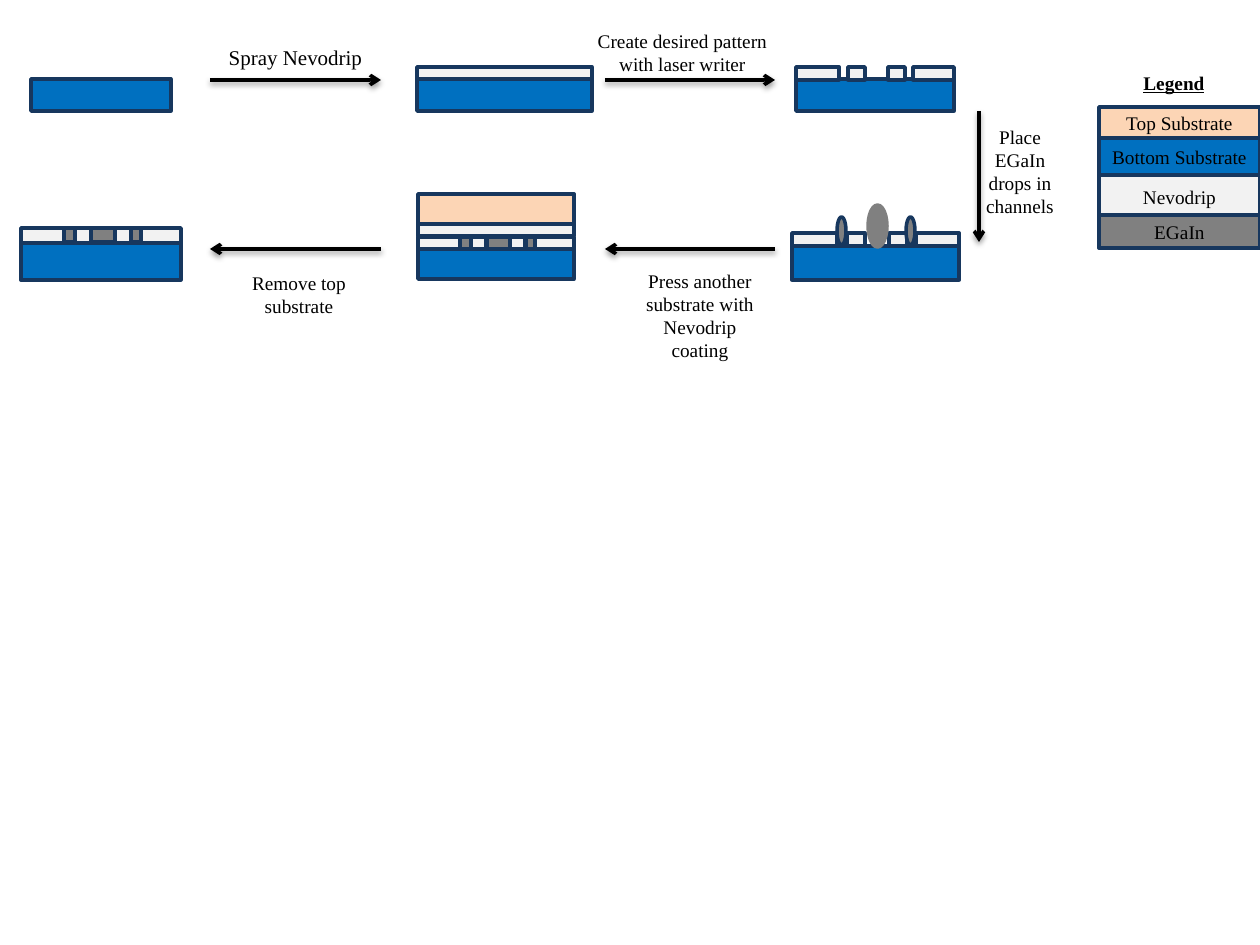
"""Builds a process slide for patterned liquid metal channels."""
from lxml import etree
from pptx import Presentation
from pptx.dml.color import RGBColor
from pptx.enum.shapes import MSO_CONNECTOR, MSO_SHAPE
from pptx.enum.text import MSO_ANCHOR, PP_ALIGN
from pptx.oxml.ns import qn
from pptx.util import Pt

RECT, OVAL = MSO_SHAPE.RECTANGLE, MSO_SHAPE.OVAL
LINE = MSO_CONNECTOR.STRAIGHT
CENTER, TOP, MIDDLE = PP_ALIGN.CENTER, MSO_ANCHOR.TOP, MSO_ANCHOR.MIDDLE
BLUE = RGBColor(0x00, 0x70, 0xC0)
NAVY = RGBColor(0x17, 0x37, 0x5E)
PALE = RGBColor(0xF2, 0xF2, 0xF2)
GRAY = RGBColor(0x80, 0x80, 0x80)
PEACH = RGBColor(0xFC, 0xD5, 0xB5)
BLACK = RGBColor(0x00, 0x00, 0x00)
FONT = "Times New Roman"
SCALE = 914400 / 126
PADS = ((0, 0.27), (0.33, 0.11), (0.58, 0.11), (0.74, 0.26))
GAPS = ((0.27, 0.07), (0.69, 0.06), (0.44, 0.15))


def px(*sizes):
    """Turn pixel lengths into EMU."""
    return [round(size * SCALE) for size in sizes]


def block(slide, box, fill, line=NAVY, kind=RECT):
    """Draw one outlined layer or drop."""
    shape = slide.shapes.add_shape(kind, *px(*box))
    shape.shadow.inherit = False
    shape.fill.solid()
    shape.fill.fore_color.rgb = fill
    shape.line.color.rgb = line
    shape.line.width = Pt(2)
    return shape


def layer(slide, box, parts, fill):
    """Split a layer into blocks placed by shares of its width."""
    left, top, width, height = box
    for start, share in parts:
        part = (left + round(start * width), top, round(share * width), height)
        block(slide, part, fill)


def write(shape, text, size=11, anchor=TOP, strong=False):
    """Put centred text into a shape."""
    frame = shape.text_frame
    frame.word_wrap = True
    frame.vertical_anchor = anchor
    frame.margin_left = frame.margin_right = px(10)[0]
    para = frame.paragraphs[0]
    para.alignment = CENTER
    run = para.add_run()
    run.text = text
    font = run.font
    font.name, font.size = FONT, Pt(size)
    font.color.rgb = BLACK
    if strong:
        font.bold = font.underline = True


def label(slide, box, text, size=11, strong=False):
    """Add a text box."""
    write(slide.shapes.add_textbox(*px(*box)), text, size, strong=strong)


def arrow(slide, ends):
    """Draw a black arrow with a soft shadow."""
    link = slide.shapes.add_connector(LINE, *px(*ends))
    link.line.color.rgb = BLACK
    link.line.width = Pt(2)
    etree.SubElement(link.line._get_or_add_ln(), qn("a:tailEnd"), type="arrow")
    effects = etree.SubElement(link._element.spPr, qn("a:effectLst"))
    shade = etree.SubElement(
        effects, qn("a:outerShdw"), blurRad="40000", dist="20000",
        dir="5400000", rotWithShape="0")
    color = etree.SubElement(shade, qn("a:srgbClr"), val="000000")
    etree.SubElement(color, qn("a:alpha"), val="38000")


def stages(slide):
    """Draw the six process stages."""
    for box in ((31, 79, 140, 32), (417, 79, 175, 32), (796, 79, 158, 32),
                (792, 246, 167, 34), (418, 249, 156, 30), (21, 243, 160, 37)):
        block(slide, box, BLUE)
    block(slide, (417, 67, 175, 12), PALE)
    for box in ((796, 67, 158, 13), (792, 233, 167, 13),
                (418, 237, 156, 12), (21, 228, 160, 15)):
        layer(slide, box, PADS, PALE)
    for box in ((418, 237, 156, 12), (21, 228, 160, 14)):
        layer(slide, box, GAPS, GRAY)
    block(slide, (868, 205, 19, 42), GRAY, GRAY, OVAL)
    for left in (837, 906):
        block(slide, (left, 217, 9, 28), GRAY, kind=OVAL)
    block(slide, (418, 194, 156, 30), PEACH)
    block(slide, (418, 224, 156, 12), PALE)


def steps(slide):
    """Draw the arrows and their captions."""
    for ends in ((210, 80, 381, 80), (605, 80, 775, 80), (381, 249, 210, 249),
                 (775, 249, 605, 249), (979, 111, 979, 242)):
        arrow(slide, ends)
    label(slide, (145, 38, 301, 32), "Spray Nevodrip", 12)
    for box, text in (
            ((575, 23, 215, 37), "Create desired pattern with laser writer"),
            ((974, 119, 92, 58), "Place EGaIn drops in channels"),
            ((625, 263, 150, 58),
             "Press another substrate with Nevodrip coating"),
            ((224, 265, 150, 58), "Remove top substrate")):
        label(slide, box, text)


def legend(slide):
    """Draw the legend."""
    for top, height, fill, text in (
            (107, 31, PEACH, "Top Substrate"),
            (138, 37, BLUE, "Bottom Substrate"),
            (175, 43, PALE, "Nevodrip"),
            (215, 33, GRAY, "EGaIn")):
        shape = block(slide, (1099, top, 161, height), fill)
        write(shape, text, anchor=MIDDLE)
    label(slide, (1128, 65, 92, 58), "Legend", strong=True)


def main():
    """Build and save the slide."""
    deck = Presentation()
    deck.slide_width, deck.slide_height = px(1260, 945)
    slide = deck.slides.add_slide(deck.slide_layouts[6])
    stages(slide)
    steps(slide)
    legend(slide)
    deck.save("out.pptx")


if __name__ == "__main__":
    main()
